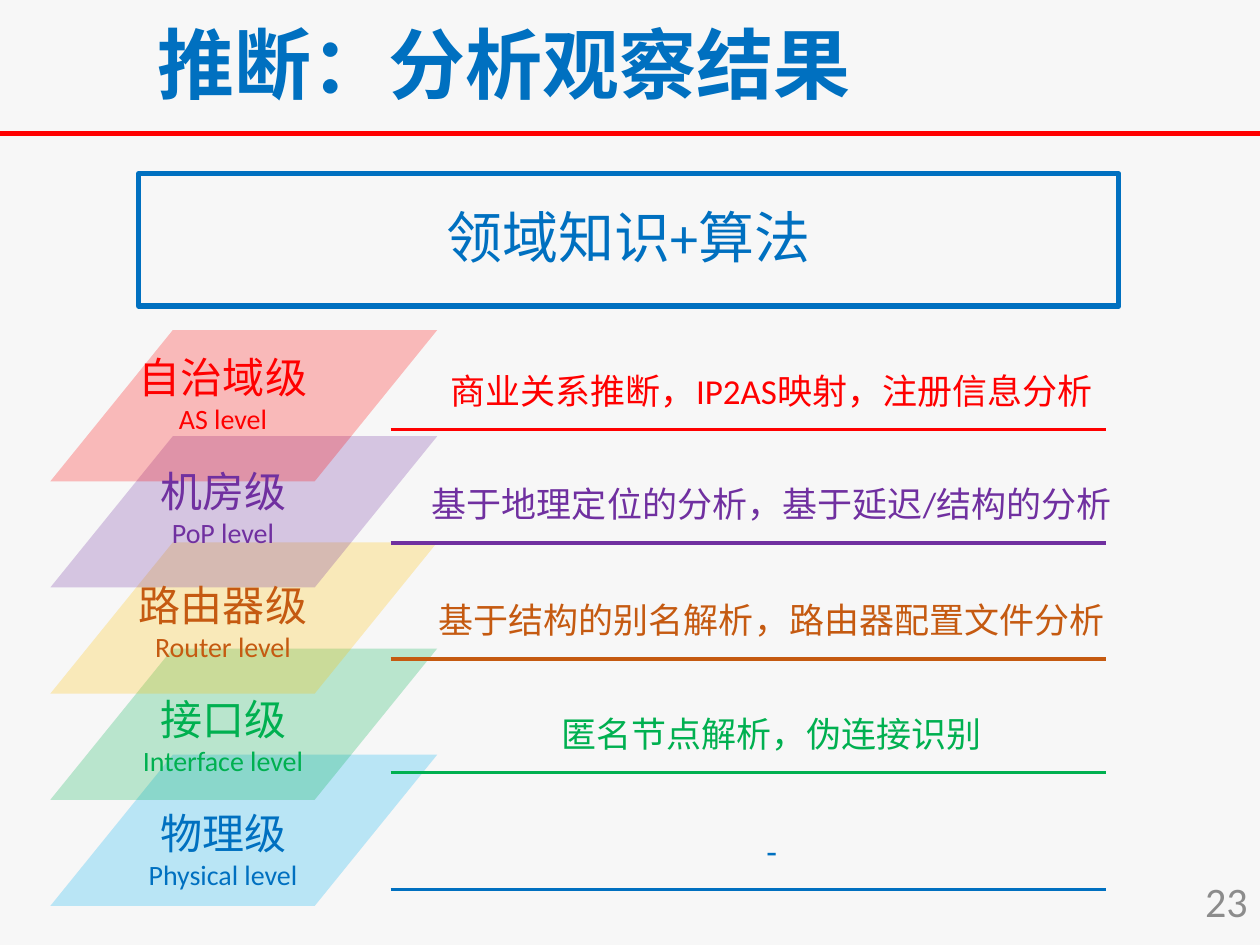
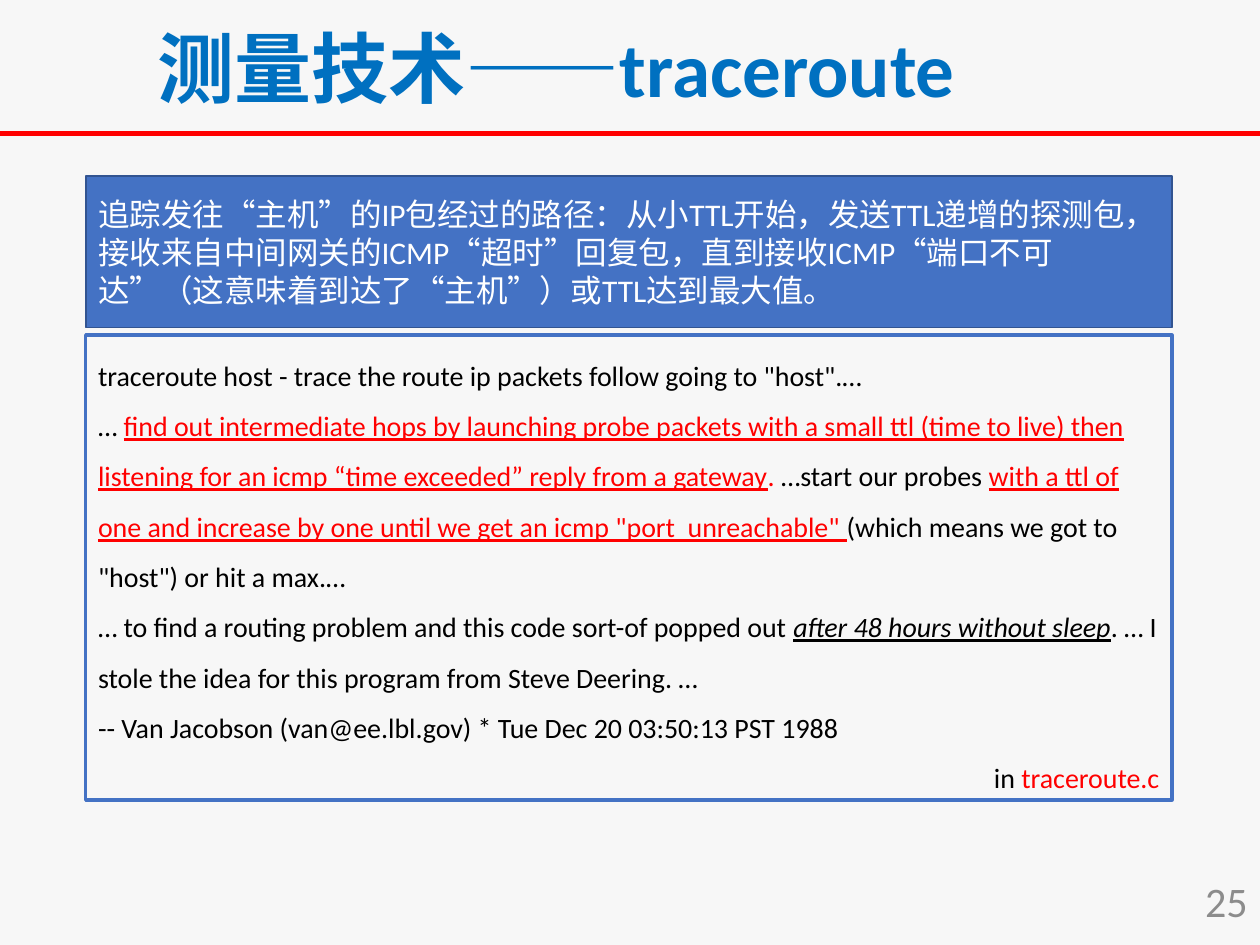
from dataclasses import dataclass
from typing import NamedTuple, Optional

from lxml.etree import SubElement
from pptx import Presentation
from pptx.dml.color import RGBColor
from pptx.enum.shapes import MSO_CONNECTOR, MSO_SHAPE
from pptx.enum.text import MSO_ANCHOR, MSO_AUTO_SIZE, PP_ALIGN
from pptx.oxml.ns import qn
from pptx.util import Inches, Pt


@dataclass(frozen=True)
class Theme:
    font: str = "Calibri"
    paper: str = "F7F7F7"
    blue: str = "0070C0"
    red: str = "FF0000"
    purple: str = "7030A0"
    orange: str = "C55A11"
    green: str = "00B050"
    sky: str = "00B0F0"
    gold: str = "FFC000"
    panel: str = "4472C4"
    panel_edge: str = "325491"
    black: str = "000000"
    white: str = "FFFFFF"
    grey: str = "8C8C8C"
    title_size: int = 44
    banner_size: int = 32
    label_size: int = 24
    note_size: int = 20
    summary_size: int = 18
    small_size: int = 16


T = Theme()


class Box(NamedTuple):
    left: float
    top: float
    width: float
    height: float

    def emu(self) -> list:
        return [Inches(v) for v in self]


class Run(NamedTuple):
    text: str
    size: int
    color: str
    bold: bool = False
    italic: bool = False
    underline: bool = False


class Para(NamedTuple):
    runs: list
    align: PP_ALIGN = PP_ALIGN.LEFT
    spacing: float = 1.0


class Level(NamedTuple):
    name: str
    english: str
    color: str
    tint: str
    note: str
    note_top: float


LEVELS = [
    Level("自治域级", "AS level", T.red, T.red, "商业关系推断，IP2AS映射，注册信息分析", 2.8),
    Level("机房级", "PoP level", T.purple, T.purple, "基于地理定位的分析，基于延迟/结构的分析", 3.7),
    Level("路由器级", "Router level", T.orange, T.gold, "基于结构的别名解析，路由器配置文件分析", 4.62),
    Level("接口级", "Interface level", T.green, T.green, "匿名节点解析，伪连接识别", 5.52),
    Level("物理级", "Physical level", T.blue, T.sky, "-", 6.45),
]
TILE = Box(0.4, 2.62, 3.07, 1.2)
TILE_STEP = (5.99 - TILE.top) / (len(LEVELS) - 1)
LABEL = Box(0.86, 2.86, 1.82, 0.52)
LABEL_STEP = (6.48 - LABEL.top) / (len(LEVELS) - 1)


def rgb(color: str) -> RGBColor:
    return RGBColor.from_string(color)


# Text and shape helpers
def write(sp, paras: list, anchor=MSO_ANCHOR.MIDDLE, fit=MSO_AUTO_SIZE.NONE) -> None:
    tf = sp.text_frame
    tf.word_wrap = True
    tf.auto_size = fit
    tf.vertical_anchor = anchor
    for i, para in enumerate(paras):
        p = tf.paragraphs[0] if i == 0 else tf.add_paragraph()
        if sp.is_placeholder:
            pPr = p._p.get_or_add_pPr()
            pPr.set("marL", "0")
            pPr.set("indent", "0")
            SubElement(pPr, qn("a:buNone"))
        p.alignment = para.align
        p.line_spacing = para.spacing
        p.space_before = Pt(0)
        for run in para.runs:
            r = p.add_run()
            r.text = run.text
            font = r.font
            font.name, font.size = T.font, Pt(run.size)
            font.color.rgb = rgb(run.color)
            font.bold, font.italic, font.underline = run.bold, run.italic, run.underline


def place(sp, box: Box) -> None:
    sp.left, sp.top, sp.width, sp.height = box.emu()


def outline(sp, color: str, width: float) -> None:
    sp.line.color.rgb = rgb(color)
    sp.line.width = Pt(width)


def add_shape(s, kind: MSO_SHAPE, box: Box, fill: Optional[str] = None,
              edge: Optional[str] = None, width: float = 1, opacity: int = 100):
    sp = s.shapes.add_shape(kind, *box.emu())
    sp.shadow.inherit = False
    if fill:
        sp.fill.solid()
        sp.fill.fore_color.rgb = rgb(fill)
        if opacity < 100:
            clr = sp._element.spPr.find(".//" + qn("a:srgbClr"))
            SubElement(clr, qn("a:alpha")).set("val", str(opacity * 1000))
    else:
        sp.fill.background()
    if edge:
        outline(sp, edge, width)
    else:
        sp.line.fill.background()
    return sp


def add_text(s, box: Box, paras: list) -> None:
    write(s.shapes.add_textbox(*box.emu()), paras)


def add_rule(s, left: float, right: float, y: float, color: str, width: float) -> None:
    line = s.shapes.add_connector(MSO_CONNECTOR.STRAIGHT, Inches(left), Inches(y),
                                  Inches(right), Inches(y))
    outline(line, color, width)
    SubElement(line._element.spPr, qn("a:effectLst"))


# Shared frame: red rule, title and page number
def add_slide(prs, layout: int, title: str, title_top: float, page: str):
    s = prs.slides.add_slide(prs.slide_layouts[layout])
    add_rule(s, 0, 10, 1.06, T.red, 3)
    place(s.shapes.title, Box(1.15, title_top, 8.16, 0.83))
    write(s.shapes.title, [Para([Run(title, T.title_size, T.blue, bold=True)], spacing=0.9)])
    add_text(s, Box(7.75, 6.95, 2.25, 0.4),
             [Para([Run(page, T.label_size, T.grey)], PP_ALIGN.RIGHT)])
    return s


def inference_slide(prs) -> None:
    s = add_slide(prs, 1, "推断：分析观察结果", 0.13, "23")

    # Banner
    banner = s.placeholders[1]
    place(banner, Box(1.1, 1.38, 7.78, 1.05))
    outline(banner, T.blue, 3)
    write(banner, [Para([Run("领域知识+算法", T.banner_size, T.blue)], PP_ALIGN.CENTER, 0.9)])

    # Stack of translucent tiles, lowest level first
    for i, level in reversed(list(enumerate(LEVELS))):
        box = TILE._replace(top=TILE.top + i * TILE_STEP)
        tile = add_shape(s, MSO_SHAPE.PARALLELOGRAM, box, level.tint, opacity=25)
        tile.adjustments[0] = 0.81

    # Level names and their methods
    for i, level in enumerate(LEVELS):
        add_text(s, LABEL._replace(top=LABEL.top + i * LABEL_STEP), [
            Para([Run(level.name, T.label_size, level.color)], PP_ALIGN.CENTER),
            Para([Run(level.english, T.small_size, level.color)], PP_ALIGN.CENTER),
        ])
        note = add_shape(s, MSO_SHAPE.ROUNDED_RECTANGLE, Box(2.94, level.note_top, 6.37, 0.6))
        write(note, [Para([Run(level.note, T.note_size, level.color)], PP_ALIGN.CENTER)])
        add_rule(s, 3.1, 8.78, level.note_top + 0.61, level.color, 2)


def plain(text: str, color: str = T.black) -> Run:
    return Run(text, T.small_size, color)


def marked(text: str) -> Run:
    return Run(text, T.small_size, T.red, underline=True)


def traceroute_slide(prs) -> None:
    s = add_slide(prs, 5, "测量技术——traceroute", 0.16, "25")

    # Quoted program comment
    quote = [
        [plain('traceroute host - trace the route ip packets follow going to "host".…')],
        [plain("… "),
         marked("find out intermediate hops by launching probe packets with a small ttl "
                "(time to live) then listening for an icmp “time exceeded” reply from a gateway"),
         plain(". ", T.red),
         plain("…start our probes "),
         marked("with a ttl of one and increase by one until we get an icmp "
                '"port  unreachable" '),
         plain('(which means we got to "host") or hit a max.…')],
        [plain("… to find a routing problem and this code sort-of popped out "),
         Run("after 48 hours without sleep", T.small_size, T.black, italic=True, underline=True),
         plain(". … I stole the idea for this program from Steve Deering. …")],
        [plain("-- Van Jacobson (van@ee.lbl.gov) * Tue Dec 20 03:50:13 PST 1988")],
    ]
    paras = [Para(runs, spacing=1.5) for runs in quote]
    paras.append(Para([plain("in "), plain("traceroute.c", T.red)], PP_ALIGN.RIGHT, 1.5))
    frame = add_shape(s, MSO_SHAPE.RECTANGLE, Box(0.68, 2.66, 8.62, 3.69), edge=T.panel, width=2)
    write(frame, paras, MSO_ANCHOR.TOP, MSO_AUTO_SIZE.SHAPE_TO_FIT_TEXT)

    # Summary panel
    summary = ("追踪发往“主机”的IP包经过的路径：从小TTL开始，发送TTL递增的探测包，"
               "接收来自中间网关的ICMP“超时”回复包，直到接收ICMP“端口不可达”"
               "（这意味着到达了“主机”）或TTL达到最大值。")
    panel = add_shape(s, MSO_SHAPE.RECTANGLE, Box(0.68, 1.4, 8.62, 1.2), T.panel, T.panel_edge)
    write(panel, [Para([Run(summary, T.summary_size, T.white)])])


def main() -> None:
    prs = Presentation()
    prs.slide_width, prs.slide_height = Inches(10), Inches(7.5)
    background = prs.slide_master.background.fill
    background.solid()
    background.fore_color.rgb = rgb(T.paper)
    inference_slide(prs)
    traceroute_slide(prs)
    prs.save("out.pptx")


if __name__ == "__main__":
    main()
